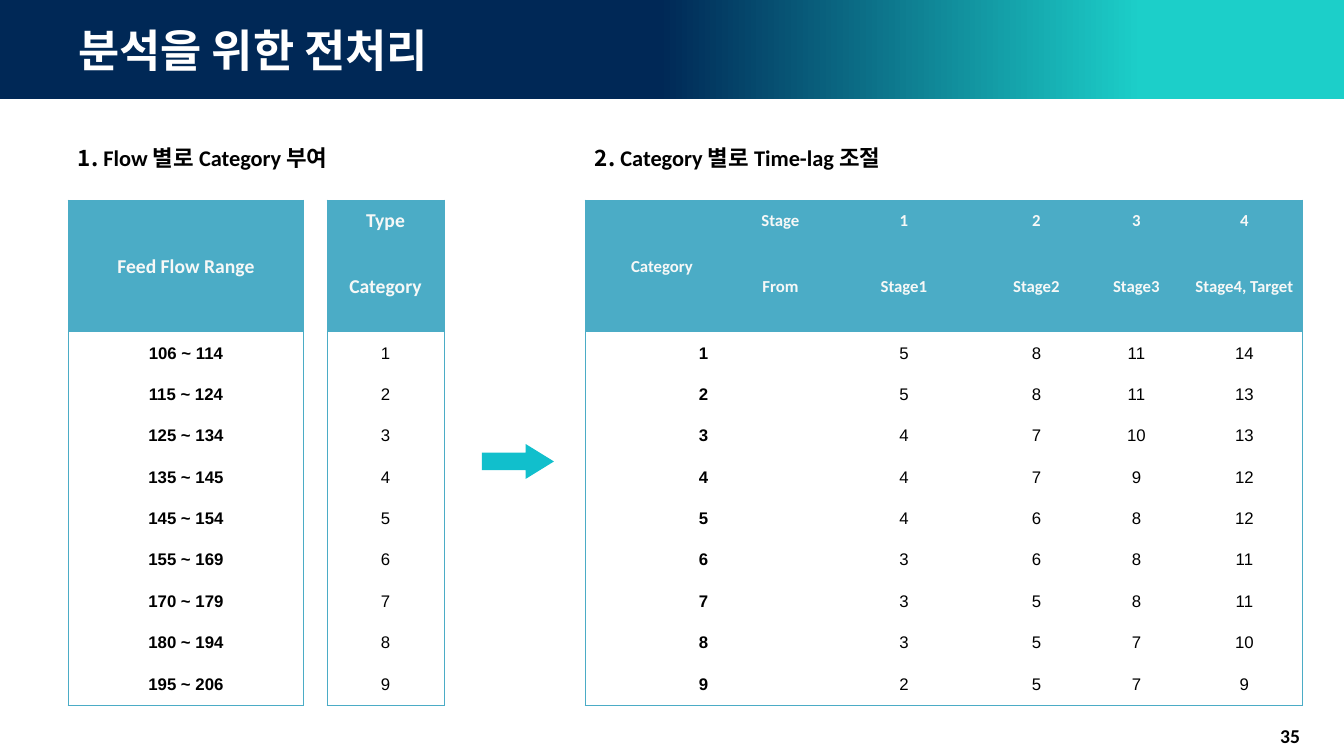
from lxml import etree
from pptx import Presentation
from pptx.dml.color import RGBColor
from pptx.enum.shapes import MSO_SHAPE as Shape
from pptx.enum.text import MSO_ANCHOR as Anchor, MSO_AUTO_SIZE as AutoSize, PP_ALIGN as Align
from pptx.oxml.ns import qn
from pptx.util import Pt

PX = 914400 / 100.8
COLORS = {"navy": "002856", "aqua": "1CCFC9", "header": "4BACC6", "header_text": "F6F8F7",
          "arrow": "11BFCC", "black": "000000", "white": "FFFFFF"}
KOREAN, LATIN, DIGITS = "Noto Sans CJK KR", "Calibri", "Arial"
NO_GRID_STYLE = "{2D5ABB26-0587-4C30-8999-92F81FD0307C}"


def px(*lengths):
    return [round(length * PX) for length in lengths]


def add_run(paragraph, text, font, size, color="black", bold=True):
    run = paragraph.add_run()
    run.text = text
    run.font.name, run.font.size, run.font.bold = font, Pt(size), bold
    run.font.color.rgb = RGBColor.from_string(COLORS[color])
    etree.SubElement(run.font._element, qn("a:ea"), typeface=font)


prs = Presentation()
prs.slide_width, prs.slide_height = px(1344, 756)
slide = prs.slides.add_slide(prs.slide_layouts[5])
shapes = slide.shapes

# Banner and title
banner = shapes.add_shape(Shape.RECTANGLE, *px(0, 0, 1344, 99))
banner.shadow.inherit = False
banner.line.fill.background()
banner.fill.gradient()
banner.fill.gradient_angle = 0
stops = banner._element.spPr.find(qn("a:gradFill")).find(qn("a:gsLst"))
for stop in list(stops):
    stops.remove(stop)
for percent, color in [(0, "navy"), (49, "navy"), (85, "aqua"), (100, "aqua")]:
    stop = etree.SubElement(stops, qn("a:gs"), pos=str(percent * 1000))
    etree.SubElement(stop, qn("a:srgbClr"), val=COLORS[color])
shapes._spTree.insert(2, banner._element)

title = shapes.title
title.left, title.top, title.width, title.height = px(68, 0, 1210, 99)
title.text_frame.vertical_anchor = Anchor.MIDDLE
title.text_frame.paragraphs[0].alignment = Align.LEFT
add_run(title.text_frame.paragraphs[0], "분석을 위한 전처리", KOREAN, 32, "white")

# Section headings
headings = [
    (68, 290, [("1. ", KOREAN), ("Flow", LATIN), (" 별로 ", KOREAN),
               ("Category", LATIN), (" 부여", KOREAN)]),
    (585, 326, [("2. ", KOREAN), ("Category", LATIN), (" 별로 ", KOREAN),
                ("Time-lag", LATIN), (" 조절", KOREAN)]),
]
for left, width, parts in headings:
    heading = shapes.add_textbox(*px(left, 139, width, 37)).text_frame
    heading.word_wrap = True
    heading.auto_size = AutoSize.SHAPE_TO_FIT_TEXT
    for text, font in parts:
        add_run(heading.paragraphs[0], text, font, 16)

# Tables: left, column widths, header heights, header size, bold body columns, rows
body_heights = [41 + (i % 3 == 0) for i in range(8)] + [43]
flow_ranges = ["106 ~ 114", "115 ~ 124", "125 ~ 134", "135 ~ 145", "145 ~ 154",
               "155 ~ 169", "170 ~ 179", "180 ~ 194", "195 ~ 206"]
time_lags = [(5, 8, 11, 14), (5, 8, 11, 13), (4, 7, 10, 13), (4, 7, 9, 12), (4, 6, 8, 12),
             (3, 6, 8, 11), (3, 5, 8, 11), (3, 5, 7, 10), (2, 5, 7, 9)]
tables = [
    (327, [117], [41, 91], 14, 0, [["Type"], ["Category"]] + [[n] for n in range(1, 10)]),
    (68, [236], [132], 14, 1, [["Feed Flow Range"]] + [[r] for r in flow_ranges]),
    (585, [154, 83, 164, 101, 99, 117], [41, 91], 12, 1,
     [["Category", "Stage", 1, 2, 3, 4],
      ["", "From", "Stage1", "Stage2", "Stage3", "Stage4, Target"]]
     + [[n, "", *lags] for n, lags in enumerate(time_lags, 1)]),
]
for left, widths, header_heights, header_size, bold_columns, rows in tables:
    heights = header_heights + body_heights
    last_row, last_column = len(heights) - 1, len(widths) - 1
    frame = shapes.add_table(len(heights), len(widths),
                             *px(left, 200, sum(widths), sum(heights)))
    table = frame.table
    table.first_row = table.horz_banding = False
    table._tbl.tblPr.find(qn("a:tableStyleId")).text = NO_GRID_STYLE
    for column, width in zip(table.columns, px(*widths)):
        column.width = width
    for row, height in zip(table.rows, px(*heights)):
        row.height = height

    for r, values in enumerate(rows):
        is_header = r < len(header_heights)
        for c, value in enumerate(values):
            cell = table.cell(r, c)
            cell.vertical_anchor = Anchor.MIDDLE
            cell.margin_left, cell.margin_top, cell.margin_right, cell.margin_bottom = px(1, 1, 1, 0)
            if is_header:
                cell.fill.solid()
                cell.fill.fore_color.rgb = RGBColor.from_string(COLORS["header"])
            else:
                cell.fill.background()
            outer_sides = [("a:lnL", c == 0), ("a:lnR", c == last_column),
                           ("a:lnT", r == 0), ("a:lnB", r == last_row)]
            borders = [side for side, is_outer in outer_sides if is_outer]
            for position, side in enumerate(borders):
                border = etree.Element(qn(side), w=str(Pt(0.75)))
                fill = etree.SubElement(border, qn("a:solidFill"))
                etree.SubElement(fill, qn("a:srgbClr"), val=COLORS["header"])
                cell._tc.tcPr.insert(position, border)
            if value == "":
                continue
            paragraph = cell.text_frame.paragraphs[0]
            paragraph.alignment = Align.CENTER
            if is_header:
                add_run(paragraph, str(value), LATIN, header_size, "header_text")
            else:
                add_run(paragraph, str(value), DIGITS, 12, bold=c < bold_columns)

    if last_column > 0:
        table.cell(0, 0).merge(table.cell(1, 0))
        for r in range(len(header_heights), len(heights)):
            table.cell(r, 0).merge(table.cell(r, 1))

# Arrow between the two steps
arrow = shapes.add_shape(Shape.RIGHT_ARROW, *px(482, 444, 72, 35))
arrow.adjustments[0], arrow.adjustments[1] = 0.5, 0.81
arrow.shadow.inherit = False
arrow.fill.solid()
arrow.fill.fore_color.rgb = RGBColor.from_string(COLORS["arrow"])
arrow.line.fill.background()

page_number = shapes.add_textbox(*px(1018, 716, 292, 40)).text_frame
page_number.word_wrap = True
page_number.vertical_anchor = Anchor.MIDDLE
page_number.paragraphs[0].alignment = Align.RIGHT
add_run(page_number.paragraphs[0], "35", LATIN, 14)

prs.save("out.pptx")
